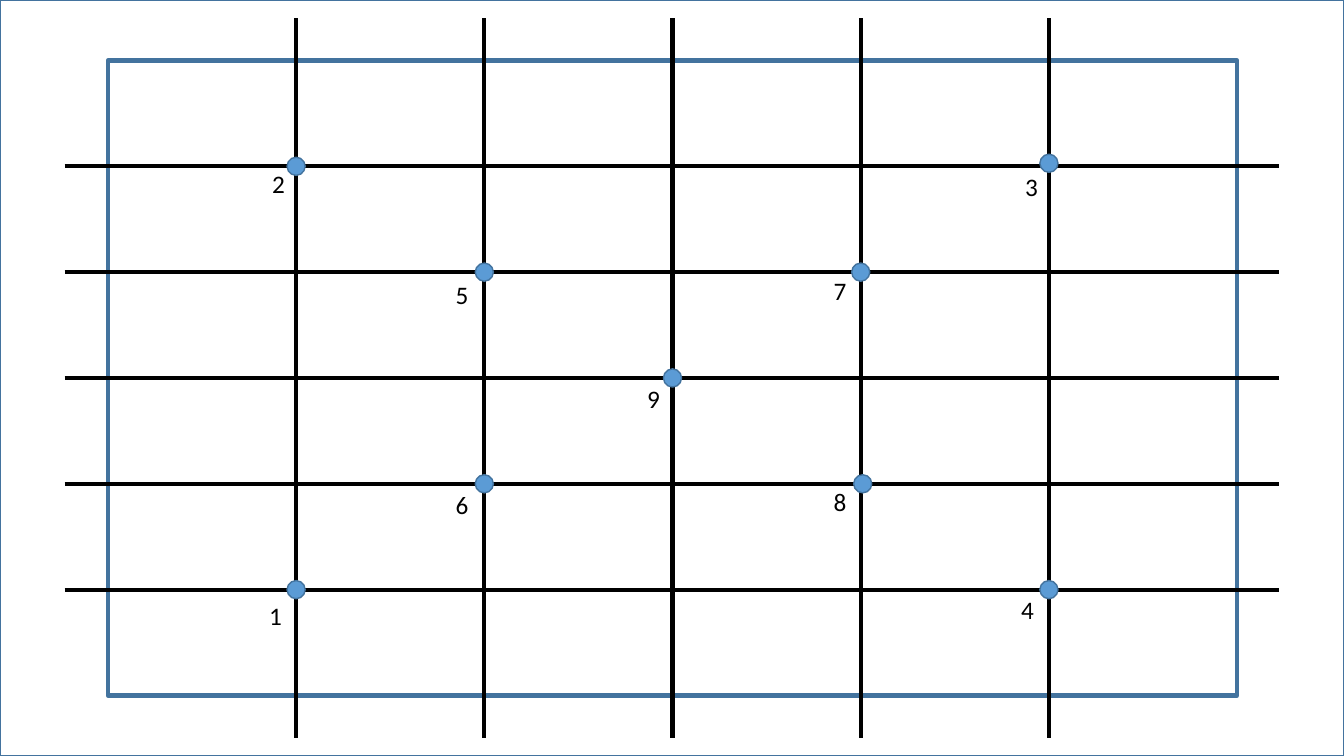
"""Build a slide with a framed grid and nine numbered points on it."""
from typing import NamedTuple, Optional

from lxml.etree import SubElement
from pptx import Presentation
from pptx.dml.color import RGBColor
from pptx.enum.shapes import MSO_CONNECTOR as Connector, MSO_SHAPE as Preset
from pptx.enum.text import MSO_AUTO_SIZE as AutoSize
from pptx.oxml.ns import qn
from pptx.util import Inches, Pt

BLACK = RGBColor(0x00, 0x00, 0x00)
POINT_BLUE = RGBColor(0x5B, 0x9B, 0xD5)
EDGE_BLUE = RGBColor(0x43, 0x73, 0x9E)

SLIDE_WIDTH, SLIDE_HEIGHT = 13.33, 7.5
FRAME_LEFT, FRAME_TOP, FRAME_WIDTH, FRAME_HEIGHT = 1.07, 0.6, 11.2, 6.3
DIVISIONS = 6
COLUMNS = [FRAME_LEFT + FRAME_WIDTH * step / DIVISIONS for step in range(1, DIVISIONS)]
ROWS = [FRAME_TOP + FRAME_HEIGHT * step / DIVISIONS for step in range(1, DIVISIONS)]
COLUMN_STOPS = (7.32, 0.6, 0.18)
ROW_STOPS = (0.64, 12.26, 12.69)
POINT_SIZE = 0.18
LABEL_WIDTH, LABEL_HEIGHT = 0.33, 0.4


class GridPoint(NamedTuple):
    """A numbered grid crossing, its label position and its small offset."""

    number: int
    column: int
    row: int
    label_left: float
    label_top: float
    shift_x: float = 0
    shift_y: float = 0


GRID_POINTS = [
    GridPoint(1, 0, 4, 2.57, 5.91),
    GridPoint(2, 0, 0, 2.6, 1.62),
    GridPoint(3, 4, 0, 10.07, 1.65, shift_y=-0.03),
    GridPoint(4, 4, 4, 10.03, 5.85),
    GridPoint(5, 1, 1, 4.42, 2.72),
    GridPoint(6, 1, 3, 4.42, 4.81),
    GridPoint(7, 3, 1, 8.17, 2.68),
    GridPoint(8, 3, 3, 8.17, 4.78, shift_x=0.02),
    GridPoint(9, 2, 2, 6.32, 3.75),
]


def add_outline(slide, preset: Preset, left: float, top: float, width: float,
                height: float, weight: float = 1, fill: Optional[RGBColor] = None) -> None:
    """Draw a preset shape with a blue edge and an optional fill."""
    shape = slide.shapes.add_shape(
        preset, Inches(left), Inches(top), Inches(width), Inches(height))
    shape.shadow.inherit = False
    if fill is None:
        shape.fill.background()
    else:
        shape.fill.solid()
        shape.fill.fore_color.rgb = fill
    shape.line.color.rgb = EDGE_BLUE
    shape.line.width = Pt(weight)


def add_grid_line(slide, x1: float, y1: float, x2: float, y2: float) -> None:
    """Draw one black stretch of a grid line."""
    stretch = slide.shapes.add_connector(
        Connector.STRAIGHT, Inches(x1), Inches(y1), Inches(x2), Inches(y2))
    stretch.line.color.rgb = BLACK
    stretch.line.width = Pt(3)
    SubElement(stretch._element.spPr, qn("a:effectLst"))


def add_text(slide, text: str, left: float, top: float, *, size: float = 18,
             font: str = "Calibri", color: RGBColor = BLACK) -> None:
    """Place a short unwrapped label."""
    label = slide.shapes.add_textbox(
        Inches(left), Inches(top), Inches(LABEL_WIDTH), Inches(LABEL_HEIGHT))
    frame = label.text_frame
    frame.word_wrap = False
    frame.auto_size = AutoSize.SHAPE_TO_FIT_TEXT
    run = frame.paragraphs[0].add_run()
    run.text = text
    run.font.size = Pt(size)
    run.font.name = font
    run.font.color.rgb = color


def add_point(slide, point: GridPoint) -> None:
    """Draw a dot centred on its grid crossing."""
    add_outline(slide, Preset.OVAL,
                COLUMNS[point.column] + point.shift_x - POINT_SIZE / 2,
                ROWS[point.row] + point.shift_y - POINT_SIZE / 2,
                POINT_SIZE, POINT_SIZE, fill=POINT_BLUE)


def main() -> None:
    """Build and save the slide."""
    deck = Presentation()
    deck.slide_width, deck.slide_height = Inches(SLIDE_WIDTH), Inches(SLIDE_HEIGHT)
    slide = deck.slides.add_slide(deck.slide_layouts[6])
    add_outline(slide, Preset.RECTANGLE, 0, 0, SLIDE_WIDTH, SLIDE_HEIGHT)
    add_outline(slide, Preset.RECTANGLE, FRAME_LEFT, FRAME_TOP,
                FRAME_WIDTH, FRAME_HEIGHT, weight=3)
    for start, end in zip(COLUMN_STOPS, COLUMN_STOPS[1:]):
        for x in COLUMNS:
            add_grid_line(slide, x, start, x, end)
    for start, end in zip(ROW_STOPS, ROW_STOPS[1:]):
        for y in ROWS:
            add_grid_line(slide, start, y, end, y)
    for point in GRID_POINTS:
        add_point(slide, point)
    for point in GRID_POINTS:
        add_text(slide, str(point.number), point.label_left, point.label_top)
    deck.save("out.pptx")


main()
